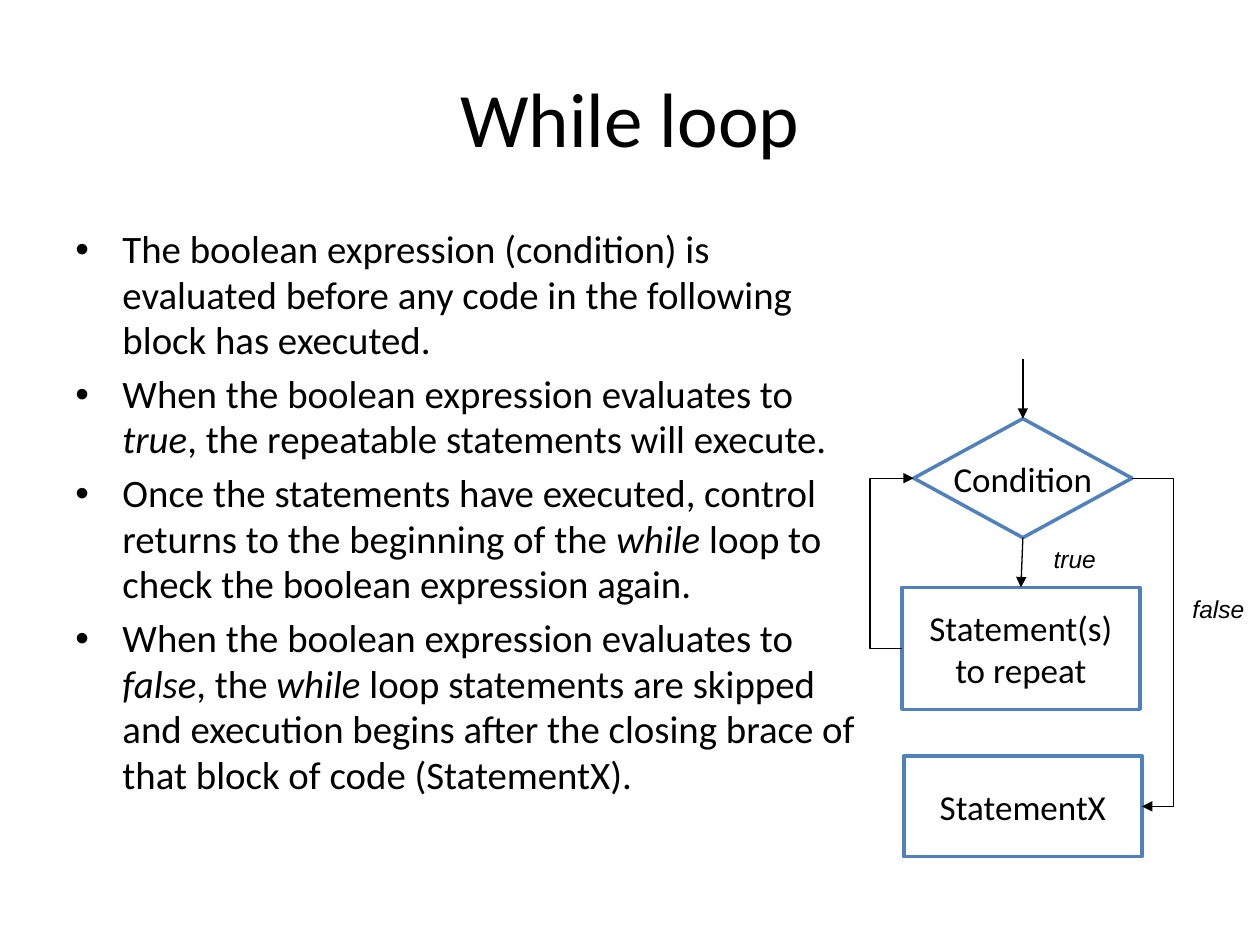
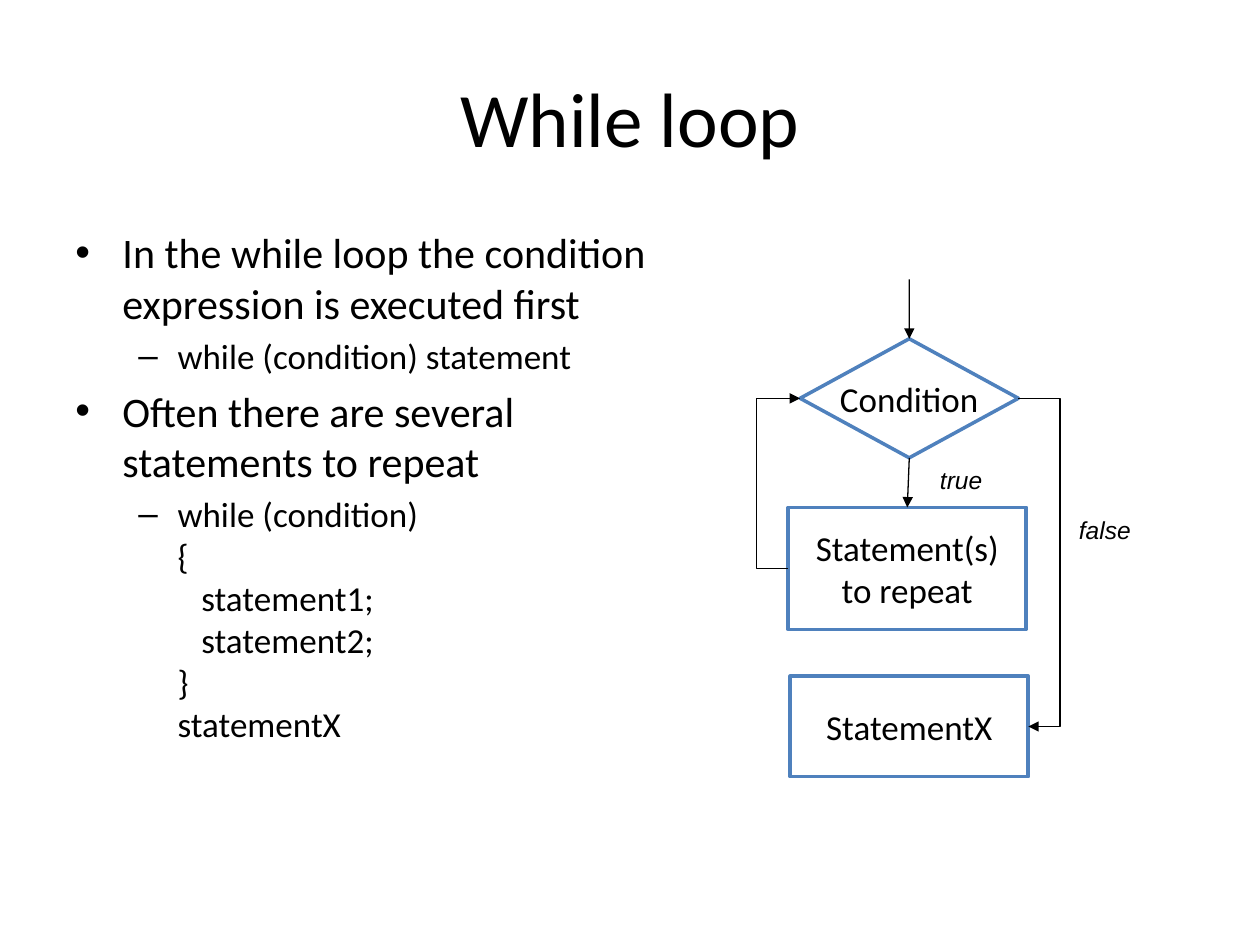
from pptx import Presentation
from pptx import util as u
from pptx.dml.color import RGBColor
from pptx.enum import shapes, text
from pptx.oxml.ns import qn
from lxml import etree

TOP, LEFT, BASE, RIGHT = range(4)
KINDS = {
    "dot": (0.95, -0.95, "•"),
    "dash": (2.06, -0.79, "–"),
    "code": (2.06, 0, None),
    "deep": (2.54, 0, None),
}


def color(code):
    return RGBColor.from_string(code)


def add(parent, tag, **attrs):
    return etree.SubElement(parent, qn(tag), attrs)


class Deck:
    ink, edge, paper = "000000", "4F81BD", "FFFFFF"
    face, note = "Calibri", "Arial"

    def __init__(self):
        self.prs = Presentation()
        self.prs.slide_width, self.prs.slide_height = u.Cm(25.4), u.Cm(19.05)
        self.slide = None

    def page(self, name):
        self.slide = self.prs.slides.add_slide(self.prs.slide_layouts[5])
        head = self.slide.shapes.title
        head.left, head.top = u.Cm(1.27), u.Cm(0.76)
        head.width, head.height = u.Cm(22.86), u.Cm(3.18)
        head.text_frame.vertical_anchor = text.MSO_ANCHOR.MIDDLE
        para = head.text_frame.paragraphs[0]
        para.alignment = text.PP_ALIGN.CENTER
        self.run(para, name, 44)

    def run(self, para, words, size, face=None, slant=False):
        run = para.add_run()
        run.text = words
        font = run.font
        font.name, font.size, font.italic = face or self.face, u.Pt(size), slant
        font.color.rgb = color(self.ink)

    def frame(self, x, y, w, h, wrap):
        box = self.slide.shapes.add_textbox(u.Cm(x), u.Cm(y), u.Cm(w), u.Cm(h))
        box.text_frame.word_wrap = wrap
        return box.text_frame

    def body(self, width, items, pitch=1.0):
        frame = self.frame(1.27, 4.45, width, 12.57, True)
        for i, (kind, size, words) in enumerate(items):
            para = frame.paragraphs[0] if i == 0 else frame.add_paragraph()
            left, first, mark = KINDS[kind]
            para.line_spacing = pitch
            para.space_before = u.Pt(0.2 * size if mark else 0)
            props = para._p.get_or_add_pPr()
            props.set("marL", str(u.Cm(left)))
            props.set("indent", str(u.Cm(first)))
            if mark:
                add(props, "a:buFont", typeface=self.note)
                add(props, "a:buChar", char=mark)
            else:
                add(props, "a:buNone")
            for j, part in enumerate(words.split("*")):
                self.run(para, part, size, slant=j % 2 == 1)

    def label(self, x, y, w, words):
        frame = self.frame(x, y, w, 0.86, False)
        self.run(frame.paragraphs[0], words, 14, self.note, True)

    def node(self, form, x, y, w, h, *lines):
        node = self.slide.shapes.add_shape(form, u.Cm(x), u.Cm(y), u.Cm(w), u.Cm(h))
        node.shadow.inherit = False
        node.fill.solid()
        node.fill.fore_color.rgb = color(self.paper)
        node.line.color.rgb = color(self.edge)
        node.line.width = u.Pt(2)
        frame = node.text_frame
        frame.word_wrap = False
        frame.vertical_anchor = text.MSO_ANCHOR.MIDDLE
        para = frame.paragraphs[0]
        para.alignment = text.PP_ALIGN.CENTER
        for i, line in enumerate(lines):
            if i:
                para.add_line_break()
            self.run(para, line, 20)
        return node

    def arrow(self, end, side, start=None, exit=None, point=(0, 0), bent=False):
        kind = shapes.MSO_CONNECTOR.ELBOW if bent else shapes.MSO_CONNECTOR.STRAIGHT
        x, y = (u.Cm(v) for v in point)
        wire = self.slide.shapes.add_connector(kind, x, y, x, y)
        if start is not None:
            wire.begin_connect(start, exit)
        wire.end_connect(end, side)
        wire.line.color.rgb = color(self.ink)
        wire.line.width = u.Pt(0.75)
        props = wire.element.spPr
        add(props.find(qn("a:ln")), "a:tailEnd", type="triangle")
        add(props, "a:effectLst")
        if bent:
            self.bend(wire, props)

    def bend(self, wire, props):
        reach = u.Cm(0.64)
        ratio = (wire.width + reach) / wire.width
        if wire.begin_y > wire.end_y:
            ratio = -reach / wire.width
            form = props.find(qn("a:xfrm"))
            form.attrib.pop("flipV")
            form.set("flipH", "1")
            form.set("rot", "10800000")
        guides = props.find(qn("a:prstGeom")).find(qn("a:avLst"))
        add(guides, "a:gd", name="adj1", fmla=f"val {round(ratio * 100000)}")

    def flow(self, x, y):
        rect = shapes.MSO_SHAPE.RECTANGLE
        test = self.node(shapes.MSO_SHAPE.FLOWCHART_DECISION, x, y, 4.4, 2.4, "Condition")
        work = self.node(rect, x - 0.24, y + 3.4, 4.8, 2.46, "Statement(s)", "to repeat")
        done = self.node(rect, x - 0.2, y + 6.8, 4.8, 2.03, "StatementX")
        self.arrow(test, LEFT, work, LEFT, bent=True)
        self.arrow(work, TOP, test, BASE)
        self.arrow(done, RIGHT, test, RIGHT, bent=True)
        self.label(x + 5.37, y + 3.42, 1.57, "false")
        self.label(x + 2.57, y + 2.41, 1.37, "true")
        self.arrow(test, TOP, point=(x + 2.2, y - 1.2))


def main():
    deck = Deck()
    deck.page("While loop")
    notes = [
        "The boolean expression (condition) is evaluated before any code in the following block has executed.",
        "When the boolean expression evaluates to *true*, the repeatable statements will execute.",
        "Once the statements have executed, control returns to the beginning of the *while* loop to check the boolean expression again.",
        "When the boolean expression evaluates to *false*, the *while* loop statements are skipped and execution begins after the closing brace of that block of code (StatementX).",
    ]
    deck.body(16.51, [("dot", 22.2, note) for note in notes], 0.98)
    deck.flow(18.42, 8.44)

    deck.page("While loop")
    deck.body(12.9, [
        ("dot", 24, "In the while loop the condition expression is executed first"),
        ("dash", 20, "while (condition) statement"),
        ("dot", 24, "Often there are several statements to repeat"),
        ("dash", 20, "while (condition)"),
        ("code", 20, "{"),
        ("deep", 20, "statement1;"),
        ("deep", 20, "statement2;"),
        ("code", 20, "}"),
        ("code", 20, "statementX"),
    ])
    deck.flow(16.13, 6.83)
    deck.prs.save("out.pptx")


if __name__ == "__main__":
    main()
